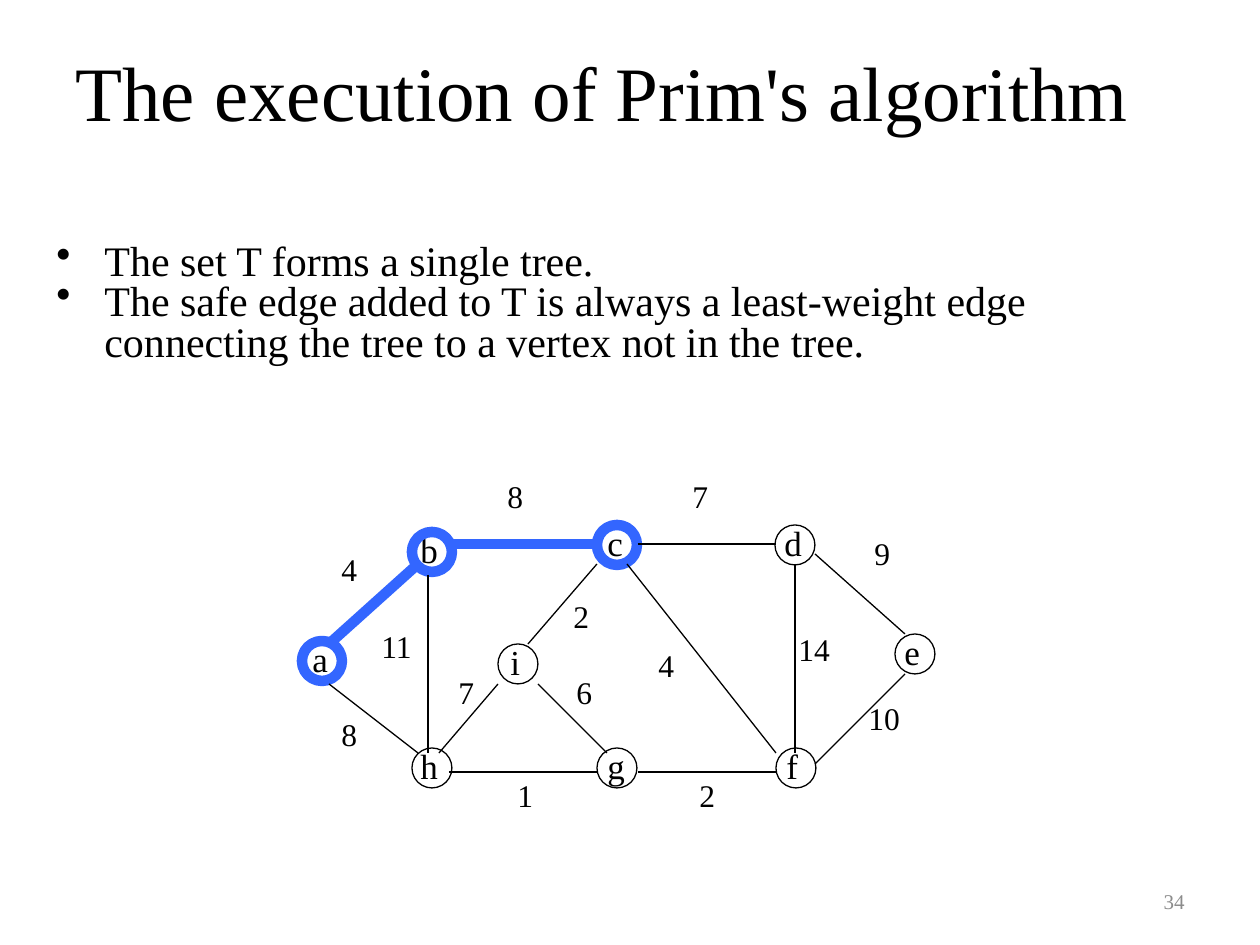
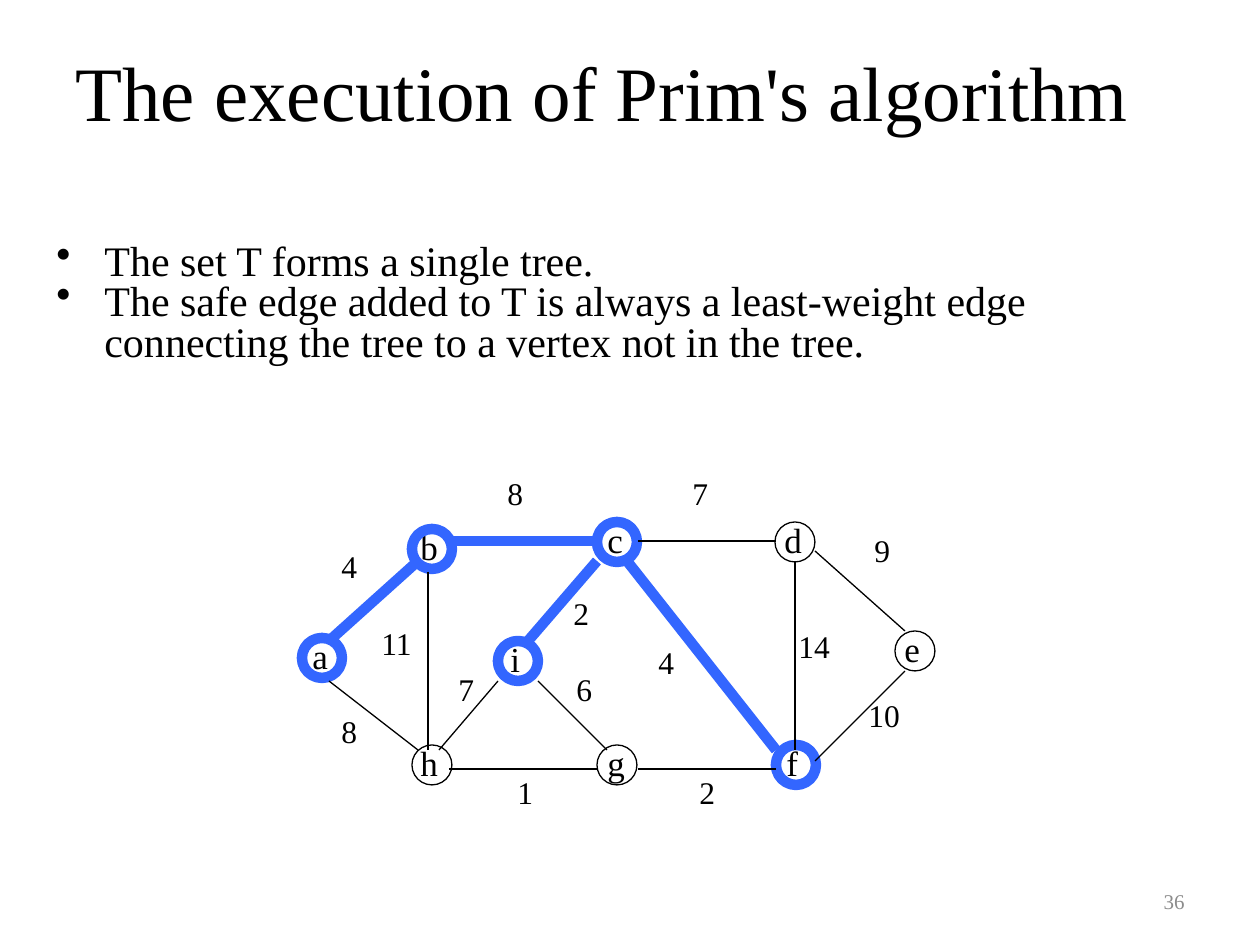
from lxml import etree
from pptx import Presentation
from pptx.dml.color import RGBColor
from pptx.enum.shapes import MSO_CONNECTOR, MSO_SHAPE
from pptx.enum.text import MSO_ANCHOR, MSO_AUTO_SIZE, PP_ALIGN
from pptx.oxml.ns import qn
from pptx.util import Pt

PX = 914400 / 126
FONT = "Times New Roman"
BLACK, GRAY, BLUE = "000000", "8C8C8C", "3366FF"
NODE_SIZE = 40

TITLE = "The execution of Prim's algorithm"
REMARKS = [
    "The set T forms a single tree.",
    "The safe edge added to T is always a least-weight edge "
    "connecting the tree to a vertex not in the tree.",
]

# name: circle left, circle top, label left, label width
VERTICES = {
    "a": (302, 641, 300, 40),
    "b": (412, 532, 408, 43),
    "h": (412, 748, 408, 43),
    "c": (597, 525, 595, 40),
    "d": (775, 525, 772, 43),
    "e": (895, 634, 892, 40),
    "f": (776, 748, 774, 37),
    "g": (597, 748, 595, 43),
    "i": (498, 644, 498, 35),
}

# ends: start, finish, weight, weight left and top
EDGES = {
    "ab": ((329, 644), (418, 564), "4", (329, 544)),
    "ah": ((329, 684), (418, 753), "8", (329, 709)),
    "bh": ((428, 575), (428, 753), "11", (369, 621)),
    "bc": ((449, 544), (597, 544), "8", (495, 471)),
    "hg": ((449, 772), (597, 772), "1", (505, 770)),
    "gf": ((638, 772), (776, 772), "2", (687, 770)),
    "cf": ((627, 564), (776, 753), "4", (646, 640)),
    "cd": ((638, 544), (776, 544), "7", (680, 471)),
    "df": ((795, 564), (795, 753), "14", (786, 624)),
    "de": ((815, 554), (905, 634), "9", (862, 528)),
    "fe": ((815, 764), (905, 674), "10", (856, 693)),
    "ig": ((538, 684), (607, 753), "6", (564, 667)),
    "hi": ((439, 753), (498, 684), "7", (446, 667)),
    "ic": ((528, 644), (597, 564), "2", (561, 591)),
}

# slide number, vertical shift of the graph, tree vertices, tree edges
STEPS = [
    ("34", 0, "abc", ["ab", "bc"]),
    ("36", -3, "abcif", ["ab", "bc", "ic", "cf"]),
]


def add_text(slide, box, lines, size, color=BLACK, bulleted=False, **frame_format):
    """Add a text box with one paragraph per line; frame_format sets the text frame."""
    frame = slide.shapes.add_textbox(*(round(v * PX) for v in box)).text_frame
    for name, value in {"word_wrap": True, **frame_format}.items():
        setattr(frame, name, value)
    for index, line in enumerate(lines):
        paragraph = frame.add_paragraph() if index else frame.paragraphs[0]
        paragraph.text = line
        if bulleted:
            paragraph.line_spacing = 0.8
            props = paragraph._p.get_or_add_pPr()
            props.set("marL", str(round(111 * PX)))
            props.set("indent", str(round(-48 * PX)))
            etree.SubElement(props, qn("a:buChar"), char="•")
        font = paragraph.runs[0].font
        font.name, font.size = FONT, Pt(size)
        font.color.rgb = RGBColor.from_string(color)
    return frame


def style_line(line, in_tree):
    line.color.rgb = RGBColor.from_string(BLUE if in_tree else BLACK)
    line.width = Pt(6 if in_tree else 0.75)


prs = Presentation()
prs.slide_width, prs.slide_height = round(1260 * PX), round(945 * PX)
label_format = {"word_wrap": False, "auto_size": MSO_AUTO_SIZE.SHAPE_TO_FIT_TEXT}

for number, shift, tree_vertices, tree_edges in STEPS:
    slide = prs.slides.add_slide(prs.slide_layouts[6])
    footer = add_text(slide, (903, 876, 294, 50), [number], 12, GRAY,
                      vertical_anchor=MSO_ANCHOR.MIDDLE)
    footer.paragraphs[0].alignment = PP_ALIGN.RIGHT
    add_text(slide, (63, 38, 1134, 158), [TITLE], 44)
    add_text(slide, (-19, 238, 1232, 135), REMARKS, 24, bulleted=True)

    for vertex, (left, top, label_left, label_width) in VERTICES.items():
        top += shift
        add_text(slide, (label_left, top - 10, label_width, 54), [vertex], 20, **label_format)
        circle = slide.shapes.add_shape(
            MSO_SHAPE.OVAL, *(round(v * PX) for v in (left, top, NODE_SIZE, NODE_SIZE)))
        circle.shadow.inherit = False
        circle.fill.background()
        style_line(circle.line, vertex in tree_vertices)

    for ends, ((x1, y1), (x2, y2), _, _) in EDGES.items():
        edge = slide.shapes.add_connector(
            MSO_CONNECTOR.STRAIGHT,
            *(round(v * PX) for v in (x1, y1 + shift, x2, y2 + shift)))
        style_line(edge.line, ends in tree_edges)
        etree.SubElement(edge._element.spPr, qn("a:effectLst"))

    for _, _, weight, (left, top) in EDGES.values():
        width = 47 if len(weight) == 1 else 67
        add_text(slide, (left, top + shift, width, 63), [weight], 18, **label_format)

prs.save("out.pptx")
